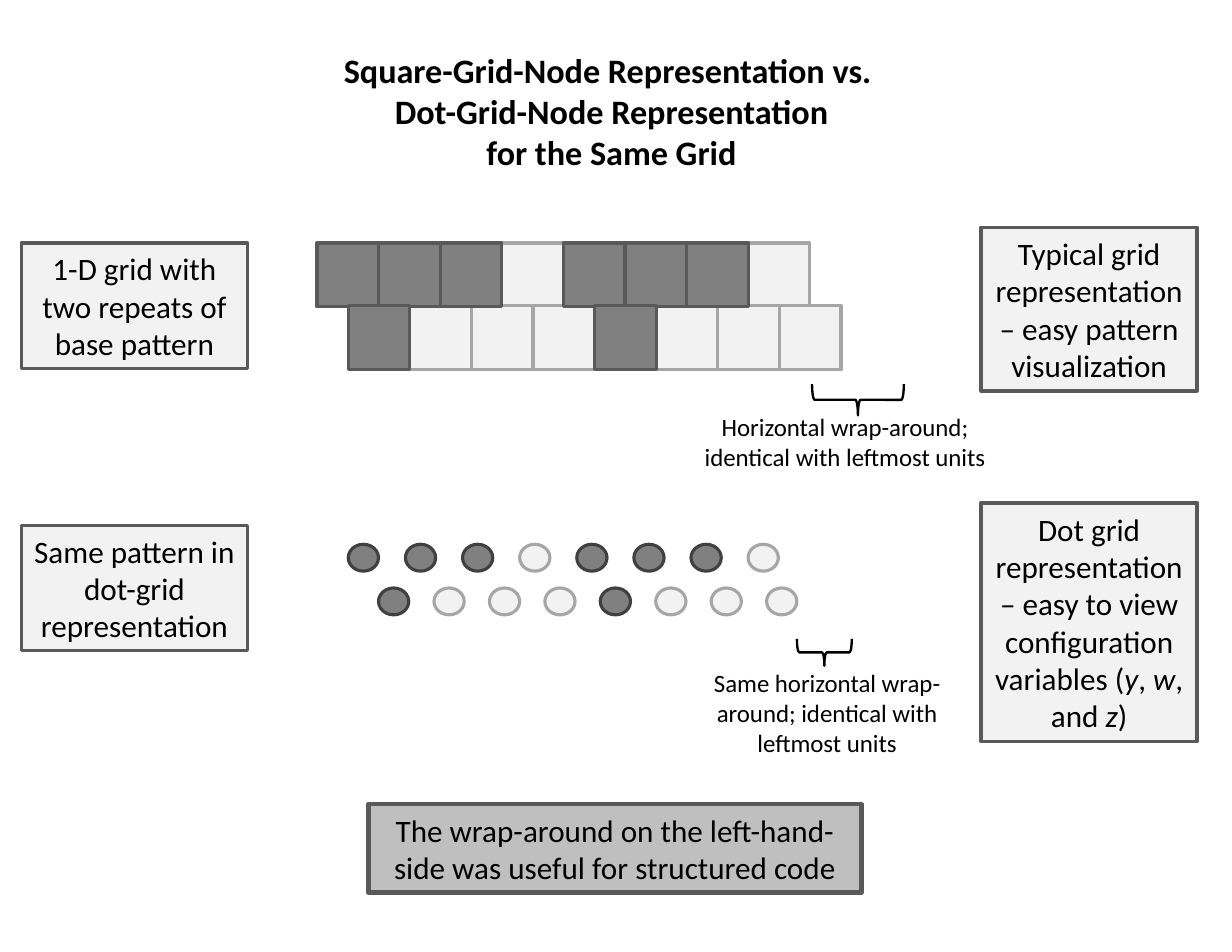
from pptx import Presentation
from pptx import util as u
from pptx.dml import color
from pptx.enum import shapes, text

HUES = {
    "black": "000000", "pale": "F2F2F2", "mid": "BFBFBF", "dark": "808080",
    "edge": "595959", "rim": "404040", "soft": "A6A6A6",
}
FORM = shapes.MSO_SHAPE


def draw(home, kind, box, fill, line, width):
    """Add a preset shape to a slide or group; fill may be None."""
    item = home.shapes.add_shape(kind, *[u.Inches(n) for n in box])
    item.shadow.inherit = False
    if fill:
        item.fill.solid()
        item.fill.fore_color.rgb = color.RGBColor.from_string(HUES[fill])
    else:
        item.fill.background()
    item.line.color.rgb = color.RGBColor.from_string(HUES[line])
    item.line.width = u.Pt(width)
    return item


def write(item, words, size=20, bold=False, wrap=True, anchor="MIDDLE"):
    """Fill a shape with centred text; newlines split paragraphs, *x* is italic."""
    frame = item.text_frame
    frame.word_wrap = wrap
    frame.auto_size = text.MSO_AUTO_SIZE.SHAPE_TO_FIT_TEXT
    frame.vertical_anchor = text.MSO_ANCHOR[anchor]
    frame.margin_left = frame.margin_right = u.Inches(0.11)
    frame.margin_top = frame.margin_bottom = u.Inches(0.06)
    for row, line in enumerate(words.split("\n")):
        para = frame.add_paragraph() if row else frame.paragraphs[0]
        para.alignment = text.PP_ALIGN.CENTER
        for part, piece in enumerate(line.split("*")):
            run = para.add_run()
            run.text = piece
            run.font.name = "Calibri"
            run.font.size = u.Pt(size)
            run.font.bold = bold
            run.font.italic = part % 2 == 1
            run.font.color.rgb = color.RGBColor.from_string(HUES["black"])


deck = Presentation()
deck.slide_width = u.Inches(11)
deck.slide_height = u.Inches(8.5)
slide = deck.slides.add_slide(deck.slide_layouts[6])

# Title and captions
title = "Square-Grid-Node Representation vs. \nDot-Grid-Node Representation\nfor the Same Grid"
for box, words, style in [
    ((2.93, 0.38, 5.06, 1.22), title, {"size": 22, "bold": True, "wrap": False}),
    ((6.17, 3.62, 2.75, 0.66),
     "Horizontal wrap-around; identical with leftmost units", {"size": 16}),
    ((6.01, 5.9, 2.75, 0.92),
     "Same horizontal wrap-around; identical with leftmost units", {"size": 16}),
]:
    label = slide.shapes.add_textbox(*[u.Inches(n) for n in box])
    write(label, words, anchor="TOP", **style)

# Framed notes
for box, words, fill, width in [
    ((0.19, 2.17, 2.02, 1.12), "1-D grid with\ntwo repeats of base pattern", "pale", 2.25),
    ((0.19, 4.69, 2.02, 1.12), "Same pattern in dot-grid representation", "pale", 2.25),
    ((8.76, 2.03, 1.93, 1.46),
     "Typical grid representation – easy pattern visualization", "pale", 2.25),
    ((8.76, 4.49, 1.93, 2.13),
     "Dot grid representation – easy to view configuration variables (*y*, *w*, and *z*)",
     "pale", 2.25),
    ((3.29, 7.18, 4.4, 0.79),
     "The wrap-around on the left-hand-side was useful for structured code", "mid", 3),
]:
    write(draw(slide, FORM.RECTANGLE, box, fill, "edge", width), words)

# Both grids show the same two rows, each pattern repeated twice.
# Each row: left, top, step; dark nodes go on top of pale ones.
ROWS = ["XXX-" * 2, "X---" * 2]
for kind, wide, high, rim, spots in [
    (FORM.RECTANGLE, 0.55, 0.57, "edge", [(2.83, 2.17, 0.55), (3.11, 2.73, 0.55)]),
    (FORM.OVAL, 0.27, 0.24, "rim", [(3.11, 4.86, 0.51), (3.38, 5.25, 0.495)]),
]:
    group = slide.shapes.add_group_shape()
    for mark, fill, line in [("-", "pale", "soft"), ("X", "dark", rim)]:
        for (left, top, step), row in zip(spots, ROWS):
            for col, node in enumerate(row):
                if node == mark:
                    draw(group, kind, (left + col * step, top, wide, high), fill, line, 2)

# Wrap-around braces, turned to point down
for box in [(7.52, 3.16, 0.28, 0.82), (7.24, 5.58, 0.24, 0.49)]:
    brace = draw(slide, FORM.RIGHT_BRACE, box, None, "black", 1.5)
    brace.rotation = 90

deck.save("out.pptx")
